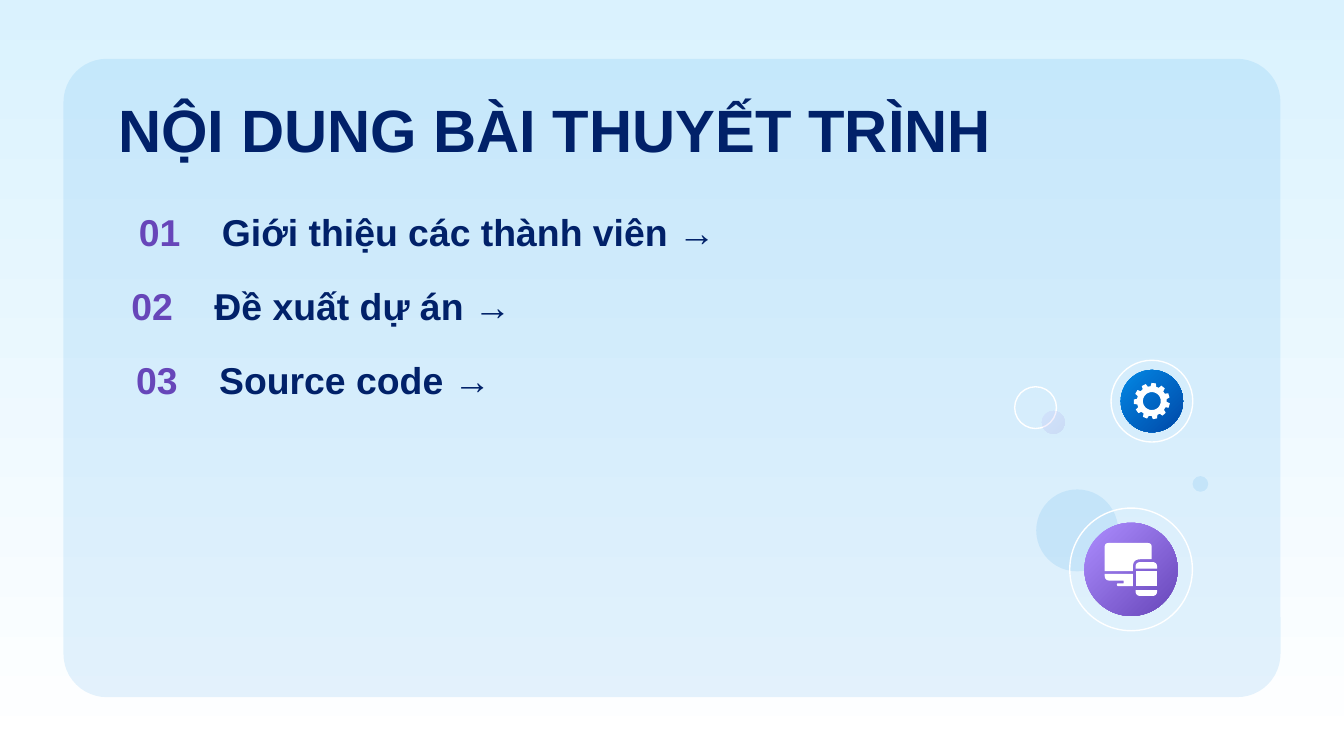
import dataclasses
import math

import pptx
import pptx.dml.color
import pptx.enum.shapes
import pptx.enum.text
import pptx.oxml
import pptx.oxml.ns
import pptx.util

Pt = pptx.util.Pt
Shape = pptx.enum.shapes.MSO_SHAPE
Align = pptx.enum.text.PP_ALIGN
Anchor = pptx.enum.text.MSO_ANCHOR


@dataclasses.dataclass(frozen=True)
class Theme:
    """Hold the colours, type sizes and font of the slide."""
    white: str = "FFFFFF"
    sky: str = "DAF2FE"
    blue: str = "0388E5"
    deep: str = "0048A7"
    lilac: str = "AD8DFF"
    purple: str = "6746B9"
    navy: str = "012169"
    font: str = "Arial"
    head: int = 32
    body: int = 20
    line: float = 0.75


THEME = Theme()
INSET = 7.2
TAB = 44.5


def tint(color, code, alpha=None):
    """Set a colour and, if given, its opacity in percent."""
    color.rgb = pptx.dml.color.RGBColor.from_string(code)
    if alpha:
        for node in color._xFill.iter(pptx.oxml.ns.qn("a:srgbClr")):
            node.append(pptx.oxml.parse_xml(
                f'<a:alpha {pptx.oxml.ns.nsdecls("a")} val="{alpha * 1000}"/>'))


def blend(fill, codes, angle, alpha=None):
    """Fill with a two-stop gradient."""
    fill.gradient()
    fill.gradient_angle = angle
    for stop, code in zip(fill.gradient_stops, codes):
        stop.color.rgb = pptx.dml.color.RGBColor.from_string(code)
        if alpha:
            for node in stop._gs.iter(pptx.oxml.ns.qn("a:srgbClr")):
                node.append(pptx.oxml.parse_xml(
                    f'<a:alpha {pptx.oxml.ns.nsdecls("a")} val="{alpha * 1000}"/>'))


def paint(shape, codes=(), alpha=None, line=None):
    """Give a shape a plain, blended or empty fill and an optional line."""
    shape.shadow.inherit = False
    if len(codes) == 2:
        blend(shape.fill, codes, 315, alpha)
    elif codes:
        shape.fill.solid()
        shape.fill.fore_color.rgb = pptx.dml.color.RGBColor.from_string(codes[0])
        if alpha:
            for node in shape.element.spPr.iter(pptx.oxml.ns.qn("a:srgbClr")):
                node.append(pptx.oxml.parse_xml(
                    f'<a:alpha {pptx.oxml.ns.nsdecls("a")} val="{alpha * 1000}"/>'))
    else:
        shape.fill.background()
    if line:
        shape.line.color.rgb = pptx.dml.color.RGBColor.from_string(line)
        shape.line.width = Pt(THEME.line)
    else:
        shape.line.fill.background()


def write(para, text, size=THEME.body, color=THEME.navy, bold=True):
    """Add a run of text in the given format."""
    run = para.add_run()
    run.text = text
    run.font.name, run.font.size, run.font.bold = THEME.font, Pt(size), bold
    run.font.color.rgb = pptx.dml.color.RGBColor.from_string(color)


def frame(shape, anchor, left=INSET):
    """Set up a text frame and return its first paragraph."""
    body = shape.text_frame
    body.word_wrap = True
    body.auto_size = pptx.enum.text.MSO_AUTO_SIZE.NONE
    body.vertical_anchor = anchor
    body.margin_left = Pt(left)
    body.margin_right = body.margin_top = body.margin_bottom = Pt(INSET)
    para = body.paragraphs[0]
    para.alignment = Align.LEFT
    return para


def disc(shapes, x, y, size, **look):
    """Draw a circle from its corner and diameter."""
    shape = shapes.add_shape(Shape.OVAL, Pt(x), Pt(y), Pt(size), Pt(size))
    paint(shape, **look)


def bend(points):
    """Round each corner that carries a radius."""
    path = []
    for i, (x, y, *rest) in enumerate(points):
        if not rest:
            path.append((x, y))
            continue
        ends = []
        for near in (points[i - 1], points[(i + 1) % len(points)]):
            part = rest[0] / math.dist((x, y), near[:2])
            ends.append((x + (near[0] - x) * part, y + (near[1] - y) * part))
        (ax, ay), (bx, by) = ends
        for step in range(7):
            t = step / 6
            u = 1 - t
            path.append((u * u * ax + 2 * u * t * x + t * t * bx,
                         u * u * ay + 2 * u * t * y + t * t * by))
    return path


def trace(shapes, x, y, loops):
    """Draw one white outline from closed loops, offset by x and y."""
    pen = None
    for loop in loops:
        first, *rest = [(Pt(x + a), Pt(y + b)) for a, b in loop]
        if pen is None:
            pen = shapes.build_freeform(*first)
        else:
            pen.move_to(*first)
        pen.add_line_segments(rest, close=True)
    paint(pen.convert_to_shape(), [THEME.white])


def badge(shapes, x, y, size, gap, codes):
    """Draw a ringed disc and return the shapes of its group."""
    group = shapes.add_group_shape().shapes
    disc(group, x, y, size, line=THEME.white)
    disc(group, x + gap, y + gap, size - 2 * gap, codes=codes)
    return group


def gear(shapes, x, y, size):
    """Draw the badge with a gear of eleven teeth."""
    group = badge(shapes, x, y, size, 5.2, [THEME.blue, THEME.deep])

    def spot(angle, radius):
        """Find a point at an angle clockwise from the top."""
        turn = math.radians(angle)
        return radius * math.sin(turn), -radius * math.cos(turn)

    rim = [spot(6 + 360 * i / 11 + shift, radius) for i in range(11)
           for shift, radius in ((-11, 8), (-7, 9.7), (7, 9.7), (11, 8))]
    hole = [spot(-angle, 4.8) for angle in range(0, 360, 10)]
    trace(group, x + size / 2, y + size / 2, [rim, hole])


def screen(shapes, x, y, size):
    """Draw the badge with a monitor and a phone."""
    group = badge(shapes, x, y, size, 7.9, [THEME.lilac, THEME.purple])
    left, right, low = 18.7, 33.8, 41.8
    near, far = 35.3, 46.8
    parts = [
        [(near, 33.8), (near, low), (far, low), (far, 33.8)],
        [(near, 43.9), (near, 47.1, 2.7), (far, 47.1, 2.7), (far, 43.9)],
        [(near, 32.4), (near, 28.9, 2.7), (far, 28.9, 2.7), (far, 32.4)],
        [(left, 35.3), (left, 38.9, 2.9), (28.8, 38.9), (28.8, 40.3),
         (25.3, 40.3, 0.7), (25.3, low, 0.7), (right, low), (right, 35.3)],
        [(left, 18.7, 2.2), (left, 33.8), (right, 33.8),
         (right, 27.4, 4), (43.9, 27.4), (43.9, 18.7, 2.2)],
    ]
    for part in parts:
        trace(group, x, y, [bend(part)])


def card(slide, x, y, wide, high):
    """Place the pale rounded panel with the title on it."""
    panel = slide.shapes.add_shape(
        Shape.ROUNDED_RECTANGLE, Pt(x), Pt(y), Pt(wide), Pt(high))
    panel.adjustments[0] = 0.068
    paint(panel, [THEME.blue], 10)
    title = slide.shapes.title
    panel.element.addnext(title.element)
    title.left, title.top = Pt(x + 22.2), Pt(y + 11)
    title.width, title.height = Pt(wide - 44.4), Pt(52.5)
    write(frame(title, Anchor.TOP), "NỘI DUNG BÀI THUYẾT TRÌNH", THEME.head)


def agenda(slide, x, y, step):
    """List the numbered topics at equal steps."""
    rows = [("Giới thiệu các thành viên →", 7.2, 342, 18.2),
            ("Đề xuất dự án →", 6.4, 240.5, 15),
            ("Source code →", 0, 240.5, 23.9)]
    for i, (topic, shift, wide, inset) in enumerate(rows):
        box = slide.shapes.add_textbox(
            Pt(x + shift), Pt(y + i * step), Pt(wide), Pt(41))
        para = frame(box, Anchor.MIDDLE, inset)
        para._p.get_or_add_pPr().append(pptx.oxml.parse_xml(
            f'<a:tabLst {pptx.oxml.ns.nsdecls("a")}>'
            f'<a:tab pos="{Pt(TAB)}" algn="l"/></a:tabLst>'))
        write(para, f"{i + 1:02}\t", color=THEME.purple)
        write(para, topic)


def decor(slide, x, y):
    """Place the bubbles and the two badges."""
    shapes = slide.shapes
    disc(shapes, x + 11.5, y + 69.2, 43.9, codes=[THEME.blue], alpha=10)
    screen(shapes, x + 29.5, y + 79.2, 65.7)
    disc(shapes, x, y + 14.2, 22.4, line=THEME.white)
    disc(shapes, x + 14.6, y + 27.2, 12.2,
         codes=[THEME.lilac, THEME.purple], alpha=10)
    gear(shapes, x + 51.6, y, 43.8)
    disc(shapes, x + 95.3, y + 62.1, 8.4, codes=[THEME.blue], alpha=10)


def main():
    """Build and save the slide."""
    deck = pptx.Presentation()
    deck.slide_width, deck.slide_height = Pt(720), Pt(405)
    slide = deck.slides.add_slide(deck.slide_layouts.get_by_name("Title Only"))
    blend(slide.background.fill, [THEME.white, THEME.sky], 90)
    card(slide, 34, 31.5, 652, 342)
    agenda(slide, 49, 103.7, 39.6)
    decor(slide, 543.6, 193)
    deck.save("out.pptx")


if __name__ == "__main__":
    main()
